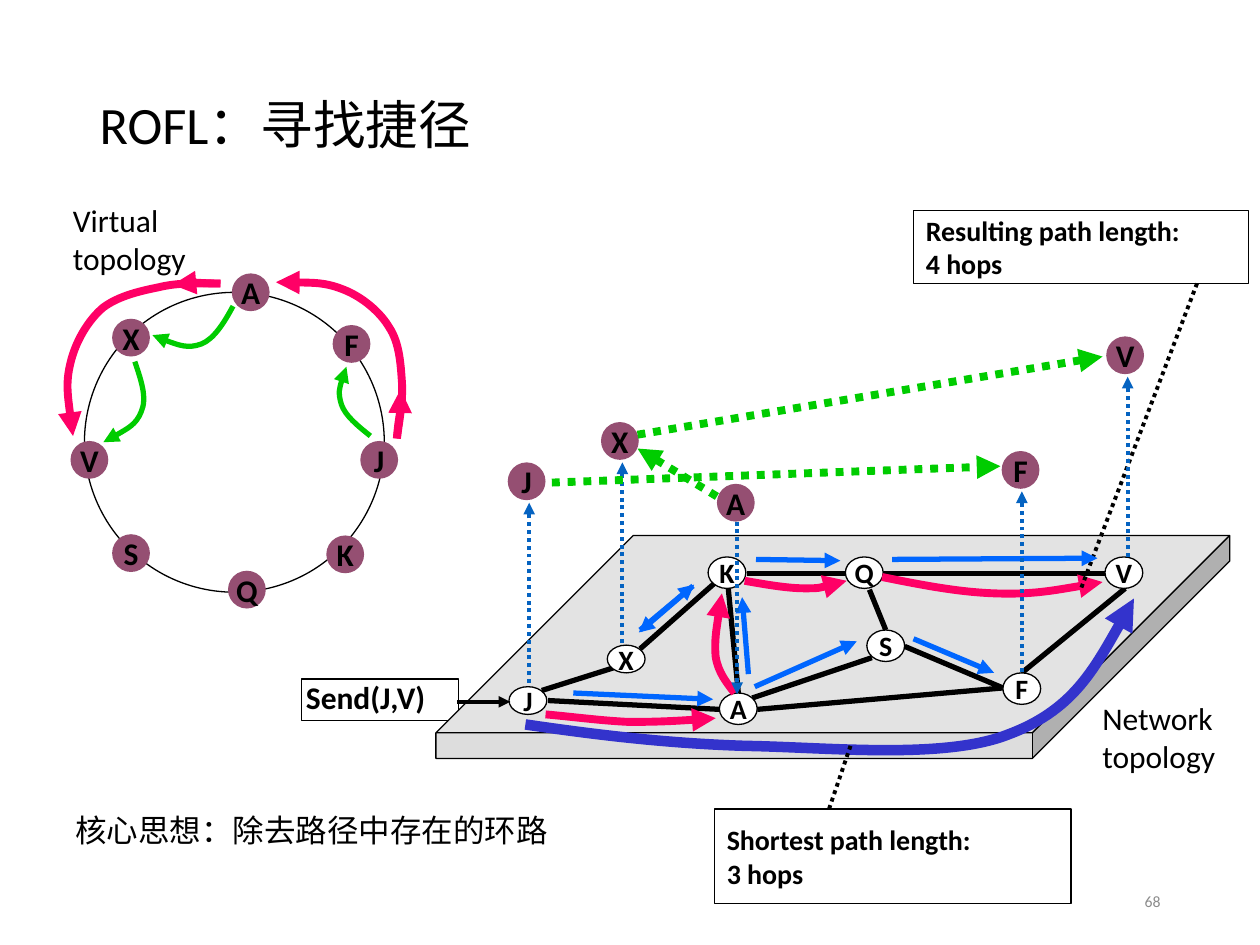
from lxml.etree import SubElement
from pptx import Presentation
from pptx.dml.color import RGBColor
from pptx.enum.dml import MSO_LINE
from pptx.enum.shapes import MSO_CONNECTOR, MSO_SHAPE
from pptx.enum.text import MSO_ANCHOR, MSO_AUTO_SIZE, PP_ALIGN
from pptx.oxml.ns import qn
from pptx.util import Inches, Pt

BLACK, WHITE, GRAY, PLUM = "000000", "FFFFFF", "DDDDDD", "954F72"
GREEN, PINK, BLUE, INDIGO, LIFT_BLUE = "00CC00", "FF0066", "0066FF", "3333CC", "0563C1"
LATIN, CJK = "Calibri", "Noto Sans CJK SC"

# Nodes: label, left, top
RING_NODES = [("F", 2.64, 2.58), ("A", 1.84, 2.17), ("J", 2.86, 3.5), ("K", 2.59, 4.25),
              ("Q", 1.81, 4.53), ("V", 0.56, 3.5), ("S", 0.89, 4.24), ("X", 0.89, 2.53)]
LIFTED_NODES = [("J", 4.03, 3.67), ("F", 7.95, 3.58), ("V", 8.78, 2.67),
                ("A", 5.69, 3.84), ("X", 4.77, 3.35)]
ROUTERS = [("J", 4.04, 5.45, 0.22), ("K", 5.62, 4.42, 0.25), ("Q", 6.71, 4.42, 0.25),
           ("F", 7.96, 5.34, 0.25), ("V", 8.77, 4.42, 0.25), ("A", 5.71, 5.5, 0.25),
           ("S", 6.88, 5, 0.25), ("X", 4.82, 5.12, 0.22)]

# Straight lines: x1, y1, x2, y2
ROUTER_LINKS = [(4.87, 5.3, 4.3, 5.48), (5.08, 5.15, 5.67, 4.63), (5.71, 5.63, 4.35, 5.56),
                (5.93, 4.55, 6.71, 4.55), (7.01, 4.55, 8.77, 4.55), (8.93, 4.67, 8.11, 5.34),
                (7.96, 5.46, 6.01, 5.63), (7.96, 5.46, 7.18, 5.13), (6.92, 5.22, 5.97, 5.54),
                (6.9, 4.68, 7.03, 5), (5.78, 4.67, 5.86, 5.5)]
LIFTS = [(4.2, 5.42, 4.2, 3.99), (8.11, 5.33, 8.11, 3.9), (8.95, 4.42, 8.95, 2.99),
         (5.85, 4.14, 5.85, 5.51), (4.94, 5.1, 4.94, 3.67)]
VIRTUAL_HOPS = [(4.38, 3.83, 7.94, 3.7), (5.06, 3.45, 8.75, 2.83), (5.69, 3.94, 5.06, 3.56)]
ROUTER_HOPS = [(5.99, 5.45, 6.8, 5.09), (7.25, 5.07, 7.89, 5.34), (4.55, 5.5, 5.66, 5.55),
               (6, 4.44, 6.67, 4.45), (7.08, 4.44, 8.71, 4.43), (5.08, 5, 5.51, 4.64),
               (5.94, 5.35, 5.89, 4.74), (5.5, 4.65, 5.07, 5.02)]
CALLOUTS = [(["Resulting path length:", "4 hops"], (7.25, 1.67, 2.66, 0.58), (9.5, 2.25, 8.58, 4.67)),
            (["Shortest path length:", "3 hops"], (5.67, 6.42, 2.83, 0.75), (6.58, 6.42, 6.75, 5.92))]

# Curves: start point, then three Bezier points per segment; the arrow is at the end
RING_HOPS = [
    [(2.94, 3.46), (2.84, 3.38), (2.74, 3.3), (2.71, 3.21), (2.68, 3.11), (2.71, 3.01), (2.75, 2.91)],
    [(1.85, 2.43), (1.78, 2.56), (1.7, 2.69), (1.6, 2.73), (1.49, 2.77), (1.35, 2.72), (1.21, 2.66)],
    [(1.07, 2.87), (1.12, 3.02), (1.17, 3.16), (1.12, 3.27), (1.08, 3.37), (0.95, 3.44), (0.82, 3.51)],
]
SHORTCUTS = [
    [(4.33, 5.67), (4.55, 5.69), (4.77, 5.72), (4.99, 5.73), (5.21, 5.73), (5.44, 5.72), (5.68, 5.7)],
    [(5.83, 5.5), (5.77, 5.42), (5.7, 5.34), (5.68, 5.21), (5.67, 5.08), (5.7, 4.89), (5.73, 4.71)],
    [(7, 4.58), (7.3, 4.64), (7.6, 4.7), (7.9, 4.71), (8.19, 4.72), (8.47, 4.67), (8.75, 4.62)],
    [(5.91, 4.61), (6.08, 4.64), (6.25, 4.67), (6.39, 4.67), (6.52, 4.67), (6.62, 4.64), (6.72, 4.61)],
]
SHORTEST_PATH = [(4.17, 5.75), (4.72, 5.83), (5.28, 5.9), (5.92, 5.92), (6.56, 5.93),
                 (7.49, 6.03), (8, 5.83), (8.51, 5.64), (8.76, 5.19), (9, 4.75)]
RING_SHORTCUTS = [
    [(1.75, 2.25), (1.58, 2.25), (1.42, 2.24), (1.26, 2.28), (1.11, 2.31), (0.94, 2.35), (0.82, 2.44),
     (0.7, 2.54), (0.6, 2.71), (0.56, 2.88), (0.52, 3.04), (0.55, 3.25), (0.58, 3.46)],
    [(3.15, 3.48), (3.17, 3.33), (3.2, 3.18), (3.19, 3.03), (3.18, 2.89), (3.17, 2.72), (3.09, 2.6),
     (3.02, 2.48), (2.88, 2.36), (2.73, 2.3), (2.58, 2.24), (2.39, 2.24), (2.19, 2.24)],
    [(3.15, 3.48), (3.16, 3.36), (3.18, 3.25), (3.19, 3.19), (3.19, 3.13), (3.18, 3.11), (3.18, 3.09)],
    [(1.75, 2.25), (1.64, 2.25), (1.53, 2.24), (1.47, 2.24), (1.4, 2.24), (1.39, 2.25), (1.37, 2.26)],
]

deck = Presentation()
deck.slide_width, deck.slide_height = Inches(10), Inches(7.5)
slide = deck.slides.add_slide(deck.slide_layouts[5])
shapes = slide.shapes


def rgb(value):
    return RGBColor.from_string(value)


def write(holder, lines, size=18, color=BLACK, bold=False, align=PP_ALIGN.LEFT,
          anchor=MSO_ANCHOR.TOP, wrap=False, spacing=1.0, font=LATIN):
    frame = holder.text_frame
    frame.auto_size = MSO_AUTO_SIZE.NONE
    frame.word_wrap, frame.vertical_anchor = wrap, anchor
    for i, line in enumerate(lines):
        paragraph = frame.paragraphs[0] if i == 0 else frame.add_paragraph()
        paragraph.alignment, paragraph.line_spacing = align, spacing
        run = paragraph.add_run()
        run.text = line
        run.font.name, run.font.size, run.font.bold = font, Pt(size), bold
        run.font.color.rgb = rgb(color)
        SubElement(run.font._element, qn("a:ea")).set("typeface", CJK)


def text_box(lines, box, **style):
    write(shapes.add_textbox(*map(Inches, box)), lines, **style)


def block(kind, box, fill=None, outline=BLACK):
    shape = shapes.add_shape(kind, *map(Inches, box))
    shape.shadow.inherit = False
    if fill:
        shape.fill.solid()
        shape.fill.fore_color.rgb = rgb(fill)
    else:
        shape.fill.background()
    if outline:
        shape.line.color.rgb, shape.line.width = rgb(outline), Pt(0.75)
    else:
        shape.line.fill.background()
    return shape


def node(label, left, top, height=0.3, fill=PLUM, outline=None, size=18):
    oval = block(MSO_SHAPE.OVAL, (left, top, 0.3, height), fill, outline)
    frame = oval.text_frame
    frame.margin_left = frame.margin_right = frame.margin_top = frame.margin_bottom = 0
    write(oval, [label], size=size, bold=True, align=PP_ALIGN.CENTER, anchor=MSO_ANCHOR.MIDDLE)


def stroke(line, color, width, dotted=False, arrow=True):
    line.color.rgb, line.width = rgb(color), Pt(width)
    if dotted:
        line.dash_style = MSO_LINE.ROUND_DOT
    if arrow:
        SubElement(line._get_or_add_ln(), qn("a:tailEnd")).set("type", "triangle")


def straight(ends, color, width, **style):
    connector = shapes.add_connector(MSO_CONNECTOR.STRAIGHT, *map(Inches, ends))
    stroke(connector.line, color, width, **style)
    SubElement(connector._element.spPr, qn("a:effectLst"))


def curve(points, color, width):
    corners = [(Inches(x), Inches(y)) for x, y in points]
    builder = shapes.build_freeform(*corners[0])
    builder.add_line_segments(corners[1:], close=False)
    shape = builder.convert_to_shape()
    shape.shadow.inherit = False
    shape.fill.background()
    stroke(shape.line, color, width)
    # Join every three straight segments into one cubic Bezier segment
    segments = shape._element.xpath(".//a:lnTo")
    for i in range(0, len(segments), 3):
        bezier = SubElement(segments[i].getparent(), qn("a:cubicBezTo"))
        for segment in segments[i:i + 3]:
            bezier.append(segment[0])
            segment.getparent().remove(segment)


# Title
title = shapes.title
title.left, title.top, title.width, title.height = map(Inches, (0.69, 0.4, 8.62, 1.23))
write(title, ["ROFL：寻找捷径"], size=30, anchor=MSO_ANCHOR.MIDDLE, wrap=True, spacing=0.9)

# Network topology
block(MSO_SHAPE.RECTANGLE, (2.39, 5.39, 1.25, 0.33), WHITE)
block(MSO_SHAPE.CUBE, (3.46, 4.25, 6.3, 1.77), GRAY).adjustments[0] = 0.885
for link in ROUTER_LINKS:
    straight(link, BLACK, 3, arrow=False)
for router in ROUTERS:
    node(*router, fill=WHITE, outline=BLACK, size=16)
text_box(["Network", "topology"], (8.65, 5.5, 1.19, 0.7))

# Virtual topology
text_box(["Virtual", "topology"], (0.48, 1.55, 1.15, 0.7))
block(MSO_SHAPE.OVAL, (0.67, 2.32, 2.38, 2.38), WHITE)
for ring_node in RING_NODES:
    node(*ring_node)
for hop in RING_HOPS:
    curve(hop, GREEN, 3)

# Message to send
text_box(["Send(J,V)"], (2.33, 5.33, 1.16, 0.4), bold=True)
straight((3.63, 5.57, 4.05, 5.57), BLACK, 2.25)

# Paths through the network
for shortcut in SHORTCUTS:
    curve(shortcut, PINK, 4.5)
curve(SHORTEST_PATH, INDIGO, 6)
for lines, box, leader in CALLOUTS:
    write(block(MSO_SHAPE.RECTANGLE, box), lines, size=16, bold=True,
          anchor=MSO_ANCHOR.MIDDLE, wrap=True)
    straight(leader, BLACK, 2.25, dotted=True, arrow=False)

# Virtual nodes lifted above their routers
for hop in ROUTER_HOPS:
    straight(hop, BLUE, 3)
for lift in LIFTS:
    straight(lift, LIFT_BLUE, 2.25, dotted=True)
for lifted_node in LIFTED_NODES:
    node(*lifted_node)
for hop in VIRTUAL_HOPS:
    straight(hop, GREEN, 4.5, dotted=True)
for shortcut in RING_SHORTCUTS:
    curve(shortcut, PINK, 4.5)

# Core idea and page number
text_box(["核心思想：除去路径中存在的环路"], (0.5, 6.39, 3.99, 0.4), font=CJK)
text_box(["68"], (7.06, 6.95, 2.25, 0.4), size=9, color="8C8C8C",
         align=PP_ALIGN.RIGHT, anchor=MSO_ANCHOR.MIDDLE, wrap=True)

deck.save("out.pptx")
